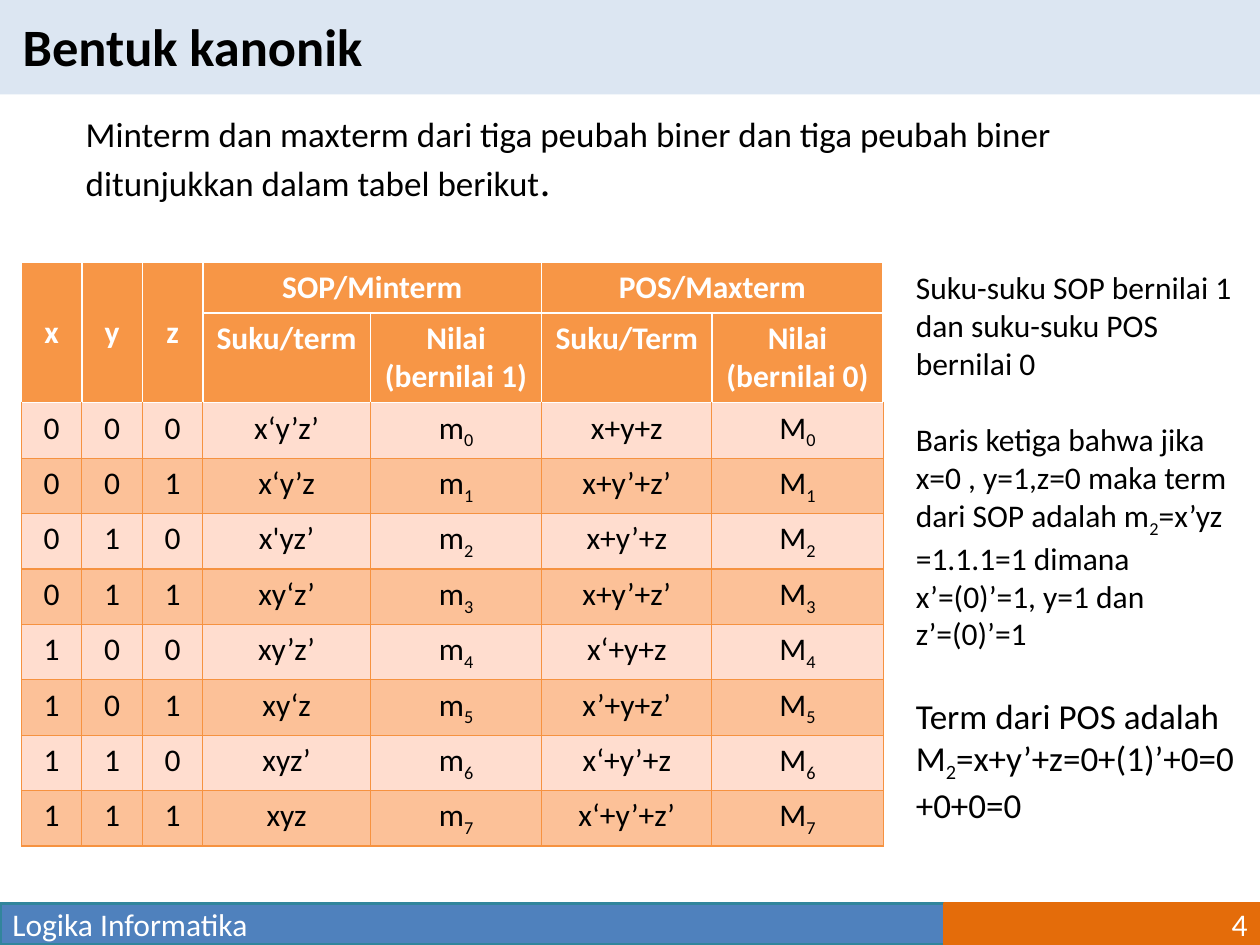
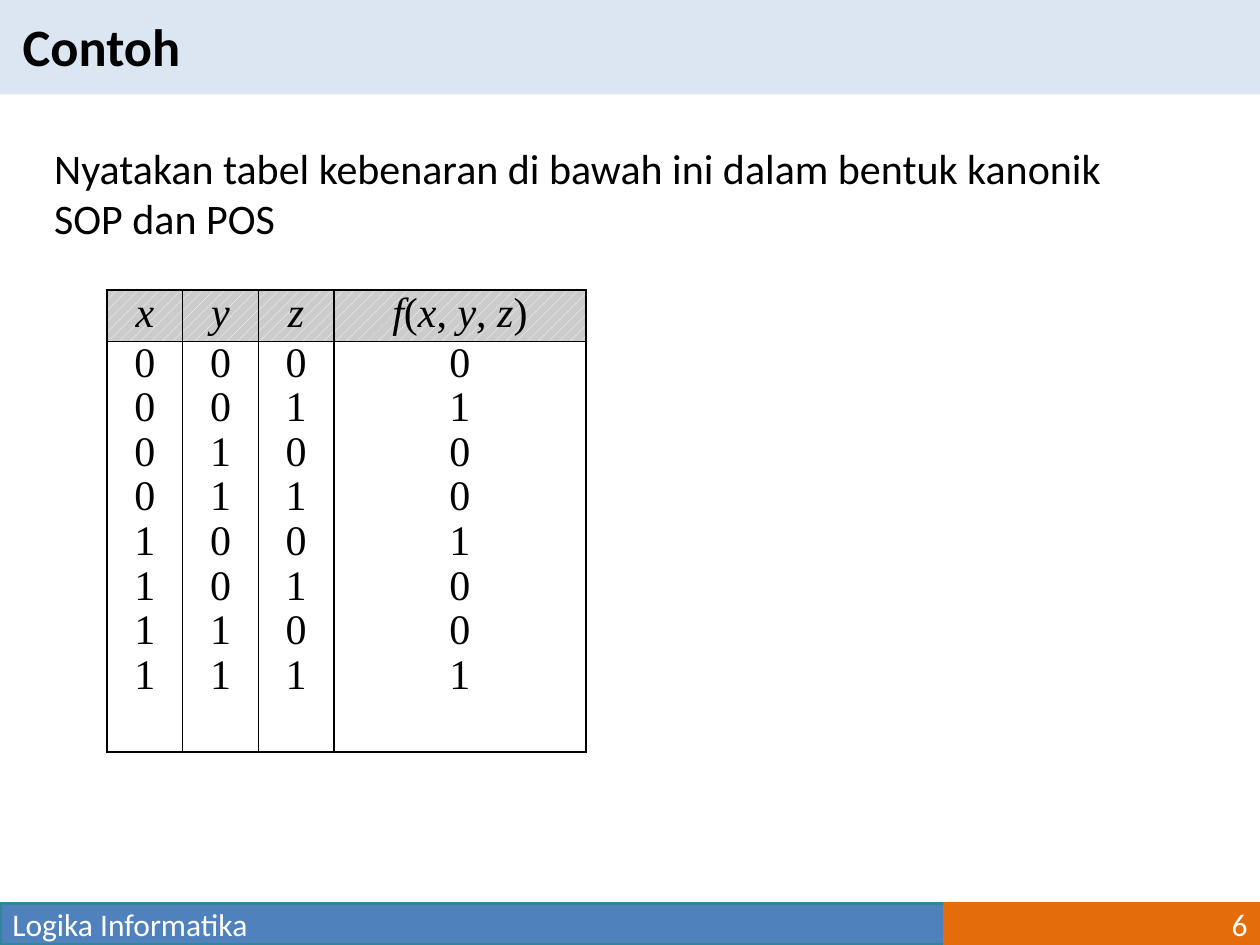
"""Build two slides on canonical forms of Boolean functions."""
from itertools import product

from lxml import etree
from pptx import Presentation
from pptx.dml.color import RGBColor
from pptx.enum.dml import MSO_PATTERN
from pptx.enum.shapes import MSO_SHAPE
from pptx.enum.text import MSO_ANCHOR as ANCHOR, MSO_AUTO_SIZE as AUTO, PP_ALIGN as ALIGN
from pptx.oxml.ns import qn
from pptx.util import Inches, Pt

BLACK = RGBColor(0x00, 0x00, 0x00)
WHITE = RGBColor(0xFF, 0xFF, 0xFF)
PALE_BLUE = RGBColor(0xDC, 0xE6, 0xF2)
BLUE = RGBColor(0x4F, 0x81, 0xBD)
TEAL = RGBColor(0x31, 0x85, 0x9C)
DARK_ORANGE = RGBColor(0xE4, 0x6C, 0x0A)
ORANGE = RGBColor(0xF7, 0x96, 0x46)
ORANGE_LINE = RGBColor(0xF6, 0x92, 0x40)
PEACH = RGBColor(0xFF, 0xDD, 0xCF)
DEEP_PEACH = RGBColor(0xFC, 0xC1, 0x98)
GREY = RGBColor(0xCC, 0xCC, 0xCC)

SUB = {"sub": True}
BITS = list(product("01", repeat=3))
MINTERMS = ["x‘y’z’", "x‘y’z", "x'yz’", "xy‘z’", "xy’z’", "xy‘z", "xyz’", "xyz"]
MAXTERMS = ["x+y+z", "x+y’+z’", "x+y’+z", "x+y’+z’",
            "x‘+y+z", "x’+y+z’", "x‘+y’+z", "x‘+y’+z’"]
F_VALUES = "01001001"


class Deck:
    """Holds the style and the current slide."""

    def __init__(self):
        self.prs = Presentation()
        self.prs.slide_width, self.prs.slide_height = Inches(10), Inches(7.5)
        self.slide = None

    def new_slide(self, title, number):
        self.slide = self.prs.slides.add_slide(self.prs.slide_layouts[1])
        band = self.bar(0, 0, 10, 0.75, PALE_BLUE)
        self.slide.shapes._spTree.insert(2, band._element)
        p = self.placeholder(self.slide.shapes.title, 0.08, 0.06, 9.5, 0.61, ANCHOR.MIDDLE)
        self.add_runs(p, [title], 30, bold=True)
        self.bar(0, 7.17, 7.5, 0.33, BLUE, TEAL, "Logika Informatika")
        self.bar(7.5, 7.17, 2.5, 0.33, DARK_ORANGE, DARK_ORANGE, str(number), ALIGN.RIGHT)

    def add_runs(self, p, runs, size, color=BLACK, bold=False, font="Calibri", align=ALIGN.LEFT):
        p.alignment = align
        for run in runs:
            text, style = (run, {}) if isinstance(run, str) else run
            r = p.add_run()
            r.text = text
            r.font.name = font
            r.font.size = Pt(style.get("size", size))
            r.font.bold = bold
            r.font.italic = style.get("italic", False)
            r.font.color.rgb = color
            if style.get("sub"):
                r._r.get_or_add_rPr().set("baseline", "-25000")

    def bar(self, x, y, w, h, fill, line=None, text=None, align=ALIGN.LEFT):
        sp = self.slide.shapes.add_shape(
            MSO_SHAPE.RECTANGLE, Inches(x), Inches(y), Inches(w), Inches(h))
        sp.shadow.inherit = False
        sp.fill.solid()
        sp.fill.fore_color.rgb = fill
        if line is None:
            sp.line.fill.background()
        else:
            sp.line.color.rgb = line
            sp.line.width = Pt(2)
        if text:
            sp.text_frame.vertical_anchor = ANCHOR.MIDDLE
            self.add_runs(sp.text_frame.paragraphs[0], [text], 18, WHITE, align=align)
        return sp

    def placeholder(self, sp, x, y, w, h, anchor=ANCHOR.TOP):
        sp.left, sp.top, sp.width, sp.height = Inches(x), Inches(y), Inches(w), Inches(h)
        tf = sp.text_frame
        tf.word_wrap = True
        tf.auto_size = AUTO.NONE
        tf.vertical_anchor = anchor
        return tf.paragraphs[0]

    def body(self, x, y, w, h, runs, size, before):
        p = self.placeholder(self.slide.placeholders[1], x, y, w, h)
        p.space_before = Pt(before)
        pPr = p._p.get_or_add_pPr()
        pPr.set("marL", "0")
        pPr.set("indent", "0")
        etree.SubElement(pPr, qn("a:buNone"))
        self.add_runs(p, runs, size)

    def note(self, x, y, w, h, paragraphs):
        sp = self.slide.shapes.add_textbox(Inches(x), Inches(y), Inches(w), Inches(h))
        tf = sp.text_frame
        tf.word_wrap = True
        for i, (runs, size, before) in enumerate(paragraphs):
            p = tf.add_paragraph() if i else tf.paragraphs[0]
            p.space_before = Pt(before)
            self.add_runs(p, runs, size)

    def table(self, x, y, cols, rows):
        frame = self.slide.shapes.add_table(
            len(rows), len(cols), Inches(x), Inches(y), Inches(sum(cols)), Inches(sum(rows)))
        tbl = frame.table
        tbl.first_row = tbl.horz_banding = False
        for column, width in zip(tbl.columns, cols):
            column.width = Inches(width)
        for row, height in zip(tbl.rows, rows):
            row.height = Inches(height)
        return tbl

    def cell(self, cell, lines, size, line, width, fill=None, top=None, **style):
        tcPr = cell._tc.get_or_add_tcPr()
        for side in "LRTB":
            ln = etree.SubElement(tcPr, qn(f"a:ln{side}"), w=str(Pt(width)))
            solid = etree.SubElement(ln, qn("a:solidFill"))
            color = top if top and side == "T" else line
            etree.SubElement(solid, qn("a:srgbClr"), val=str(color))
        if fill is None:
            cell.fill.background()
        else:
            cell.fill.solid()
            cell.fill.fore_color.rgb = fill
        for i, runs in enumerate(lines):
            p = cell.text_frame.add_paragraph() if i else cell.text_frame.paragraphs[0]
            self.add_runs(p, runs, size, align=ALIGN.CENTER, **style)


def terms_table(deck):
    tbl = deck.table(0.17, 2.08, [0.48] * 3 + [1.33, 1.36, 1.35, 1.36], [0.4, 0.7] + [0.44] * 8)
    heads = [
        [[["x"]], [["y"]], [["z"]], [["SOP/Minterm"]], [], [["POS/Maxterm"]], []],
        [[], [], [], [["Suku/term"]], [["Nilai"], ["(bernilai 1)"]],
         [["Suku/Term"]], [["Nilai"], ["(bernilai 0)"]]],
    ]
    for i, head in enumerate(heads):
        for j, lines in enumerate(head):
            deck.cell(tbl.cell(i, j), lines, 18, WHITE, 1, ORANGE, color=WHITE, bold=True)
    for j in range(3):
        tbl.cell(0, j).merge(tbl.cell(1, j))
        tbl.cell(0, j).vertical_anchor = ANCHOR.MIDDLE
    for j in (3, 5):
        tbl.cell(0, j).merge(tbl.cell(0, j + 1))
    for n, (bits, minterm, maxterm) in enumerate(zip(BITS, MINTERMS, MAXTERMS)):
        index = (str(n), SUB)
        row = [[bit] for bit in bits] + [[minterm], ["m", index], [maxterm], ["M", index]]
        for j, runs in enumerate(row):
            deck.cell(tbl.cell(n + 2, j), [runs], 18, ORANGE_LINE, 0.75,
                      DEEP_PEACH if n % 2 else PEACH, top=None if n else WHITE)


def truth_table(deck):
    tbl = deck.table(0.85, 2.3, [0.6] * 3 + [2], [0.41, 3.26])
    x, y, z, f = [(name, {"italic": True}) for name in "xyzf"]
    heads = [[x], [y], [z], [f, "(", x, ", ", y, ", ", z, ")"]]
    for j, (head, values) in enumerate(zip(heads, [*zip(*BITS), F_VALUES])):
        for i, lines in enumerate([[head], [[value] for value in values]]):
            cell = tbl.cell(i, j)
            cell.margin_left = cell.margin_right = Inches(0.07)
            cell.margin_top = cell.margin_bottom = 0
            deck.cell(cell, lines, 24, BLACK, 1, font="Times New Roman")
        for p in cell.text_frame.paragraphs:
            p.line_spacing = 0.96
        fill = tbl.cell(0, j).fill
        fill.patterned()
        fill.pattern = MSO_PATTERN.PERCENT_20
        fill.fore_color.rgb = WHITE
        fill.back_color.rgb = GREY


def main():
    deck = Deck()

    deck.new_slide("Bentuk kanonik", 4)
    deck.body(0.58, 0.84, 9, 0.84, [
        "Minterm dan maxterm dari tiga peubah biner dan tiga peubah biner "
        "ditunjukkan dalam tabel berikut", (".", {"size": 24})], 20, 0)
    terms_table(deck)
    deck.note(7.17, 2.08, 2.75, 4.48, [
        (["Suku-suku SOP bernilai 1 dan suku-suku POS bernilai 0"], 18, 0),
        (["Baris ketiga bahwa jika x=0 , y=1,z=0 maka term dari SOP adalah m", ("2", SUB),
          "=x’yz =1.1.1=1 dimana x’=(0)’=1, y=1 dan z’=(0)’=1"], 18, 22),
        (["Term dari POS adalah M", ("2", SUB), "=x+y’+z=0+(1)’+0=0+0+0=0"], 20, 24),
    ])

    deck.new_slide("Contoh", 6)
    deck.body(0.33, 1.08, 9, 4.95, [
        "Nyatakan tabel kebenaran di bawah ini dalam bentuk kanonik SOP dan POS"], 24, 4.8)
    truth_table(deck)

    deck.prs.save("out.pptx")


if __name__ == "__main__":
    main()
